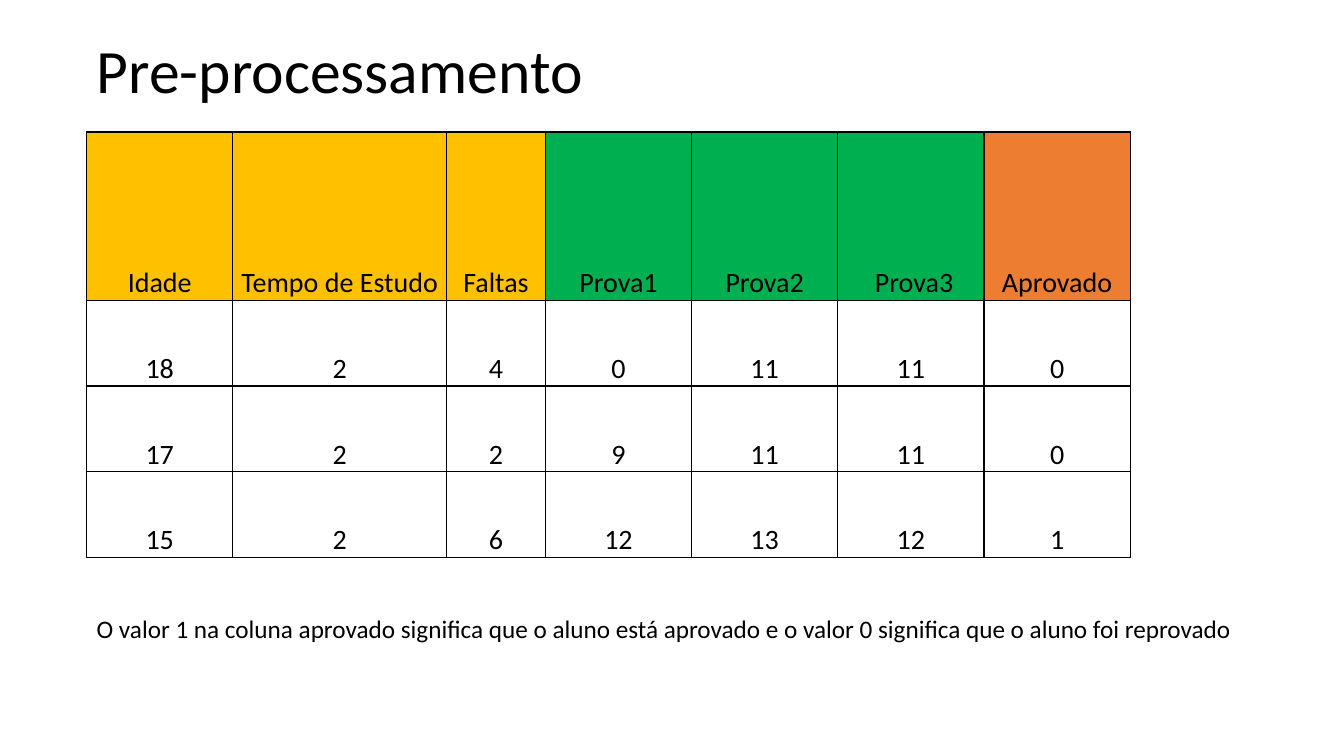
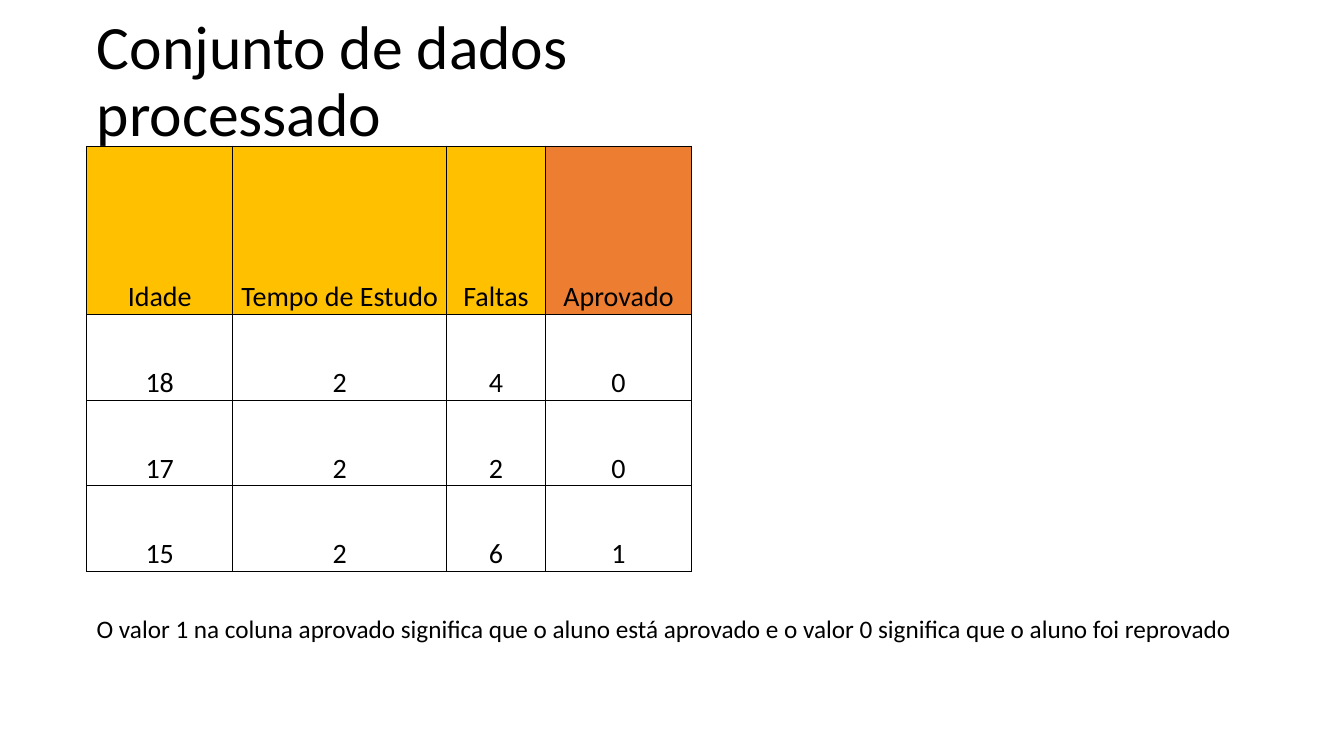
"""Build two slides comparing a student data set before and after processing."""
from dataclasses import dataclass

from lxml import etree
from pptx import Presentation
from pptx.dml.color import RGBColor
from pptx.enum import text as t
from pptx.oxml import ns
from pptx.util import Inches, Pt


@dataclass(frozen=True)
class Theme:
    font: str = "Calibri"
    ink: str = "000000"
    input: str = "FFC000"
    exam: str = "00B050"
    target: str = "ED7D31"
    title_size: int = 44
    cell_size: int = 20
    note_size: int = 18
    border_width: int = 1


THEME = Theme()
LEFT = 0.86
HEADER_HEIGHT, ROW_HEIGHT = 1.67, 0.85

COLUMNS = {
    "Idade": (1.45, THEME.input, (18, 17, 15)),
    "Tempo de Estudo": (2.12, THEME.input, (2, 2, 2)),
    "Faltas": (0.98, THEME.input, (4, 2, 6)),
    "Prova1": (1.45, THEME.exam, (0, 9, 12)),
    "Prova2": (1.45, THEME.exam, (11, 11, 13)),
    " Prova3": (1.45, THEME.exam, (11, 11, 12)),
    "Aprovado": (1.45, THEME.target, (0, 0, 1)),
}
NOTE = ("O valor 1 na coluna aprovado significa que o aluno está aprovado "
        "e o valor 0 significa que o aluno foi reprovado")
SLIDES = [
    {"title": "Pre-processamento", "title_top": 0, "title_width": 11.5,
     "table_top": 1.31, "columns": list(COLUMNS)},
    {"title": "Conjunto de dados processado", "title_top": 0.1, "title_width": 5.17,
     "table_top": 1.45, "columns": ["Idade", "Tempo de Estudo", "Faltas", "Aprovado"]},
]


def style_paragraph(paragraph, size, align):
    paragraph.alignment = align
    paragraph.font.name = THEME.font
    paragraph.font.size = Pt(size)
    paragraph.font.color.rgb = RGBColor.from_string(THEME.ink)


def add_borders(cell):
    properties = cell._tc.get_or_add_tcPr()
    for side in ("a:lnL", "a:lnR", "a:lnT", "a:lnB"):
        border = etree.SubElement(properties, ns.qn(side), w=str(Pt(THEME.border_width)))
        fill = etree.SubElement(border, ns.qn("a:solidFill"))
        etree.SubElement(fill, ns.qn("a:srgbClr"), val=THEME.ink)


def fill_cell(cell, value, color=None):
    cell.text = str(value)
    cell.vertical_anchor = t.MSO_ANCHOR.BOTTOM
    cell.margin_left = cell.margin_top = cell.margin_right = Inches(0.01)
    cell.margin_bottom = 0
    style_paragraph(cell.text_frame.paragraphs[0], THEME.cell_size, t.PP_ALIGN.CENTER)
    add_borders(cell)
    if color:
        cell.fill.solid()
        cell.fill.fore_color.rgb = RGBColor.from_string(color)
    else:
        cell.fill.background()


def add_title(slide, wording, top, width):
    title = slide.shapes.title
    title.left, title.top = Inches(LEFT), Inches(top)
    title.width, title.height = Inches(width), Inches(1.45)
    frame = title.text_frame
    frame.text = wording
    frame.auto_size = t.MSO_AUTO_SIZE.NONE
    frame.vertical_anchor = t.MSO_ANCHOR.MIDDLE
    frame.paragraphs[0].line_spacing = 0.9
    style_paragraph(frame.paragraphs[0], THEME.title_size, t.PP_ALIGN.LEFT)


def add_data(slide, names, top):
    widths = [COLUMNS[name][0] for name in names]
    row_count = 1 + len(COLUMNS[names[0]][2])
    height = HEADER_HEIGHT + ROW_HEIGHT * (row_count - 1)
    data = slide.shapes.add_table(row_count, len(names), Inches(LEFT), Inches(top),
                                  Inches(sum(widths)), Inches(height)).table
    data.first_row = data.horz_banding = False
    for index, row in enumerate(data.rows):
        row.height = Inches(ROW_HEIGHT if index else HEADER_HEIGHT)
    for column, name in enumerate(names):
        width, color, values = COLUMNS[name]
        data.columns[column].width = Inches(width)
        fill_cell(data.cell(0, column), name, color)
        for row, value in enumerate(values, 1):
            fill_cell(data.cell(row, column), value)


def add_note(slide):
    note = slide.shapes.add_textbox(Inches(LEFT), Inches(6.04), Inches(11.76), Inches(0.4))
    frame = note.text_frame
    frame.text = NOTE
    frame.word_wrap = False
    frame.auto_size = t.MSO_AUTO_SIZE.SHAPE_TO_FIT_TEXT
    style_paragraph(frame.paragraphs[0], THEME.note_size, t.PP_ALIGN.LEFT)


def main():
    deck = Presentation()
    deck.slide_width, deck.slide_height = Inches(13.33), Inches(7.5)
    title_only = deck.slide_layouts.get_by_name("Title Only")
    for content in SLIDES:
        slide = deck.slides.add_slide(title_only)
        add_title(slide, content["title"], content["title_top"], content["title_width"])
        add_data(slide, content["columns"], content["table_top"])
        add_note(slide)
    deck.save("out.pptx")


if __name__ == "__main__":
    main()
